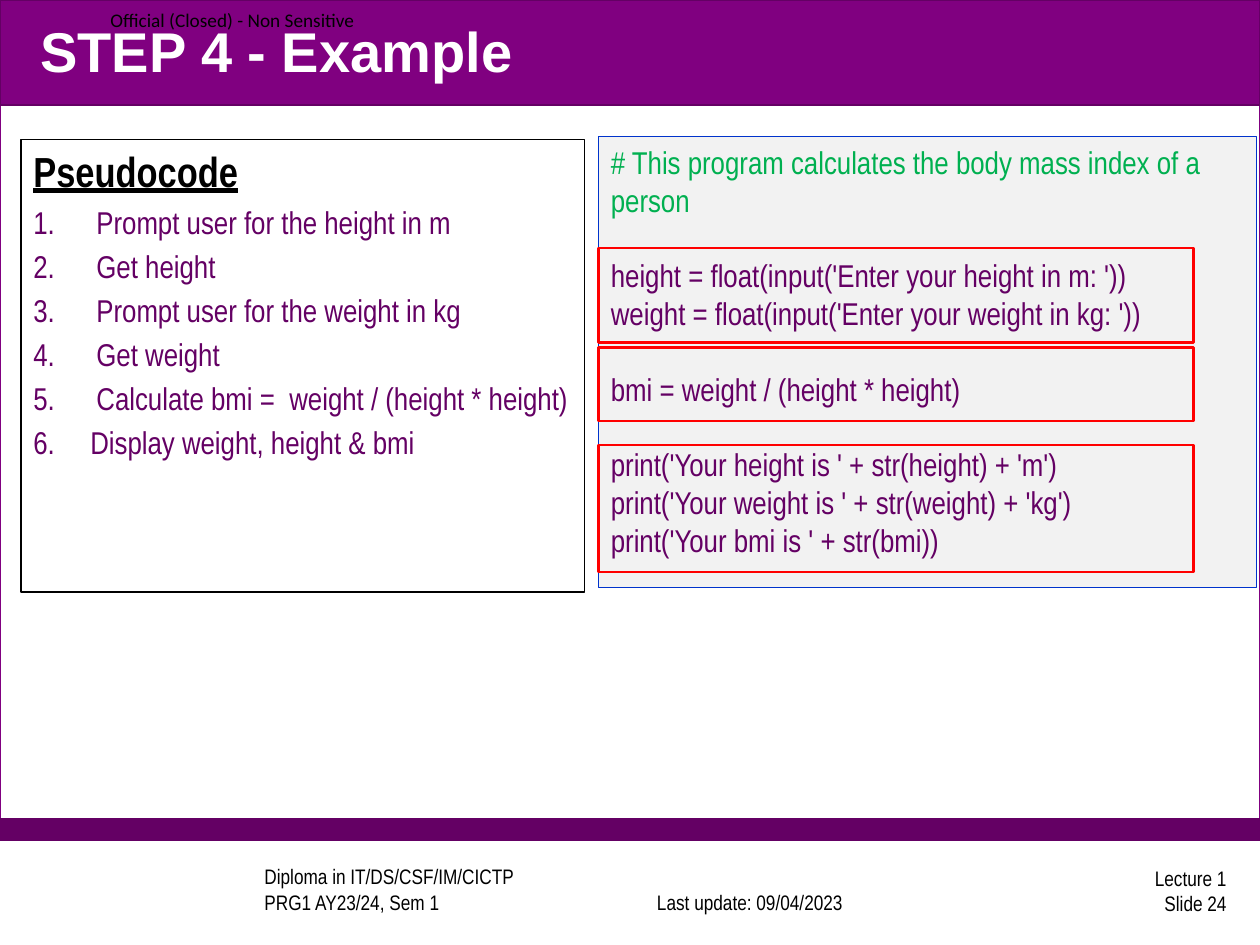
from pptx import Presentation
from pptx.dml.color import RGBColor
from pptx.enum.shapes import MSO_SHAPE
from pptx.enum.text import MSO_ANCHOR, PP_ALIGN
from pptx.oxml.ns import qn
from pptx.util import Pt
from lxml.etree import SubElement

NARROW = "Arial Narrow"
BLACK, WHITE, RED, GREEN = "000000", "FFFFFF", "FF0000", "00B050"
PURPLE, DARK_PURPLE = "800080", "640064"
CODE_LINE = 21.6

STEPS = [
    "Prompt user for the height in m",
    "Get height",
    "Prompt user for the weight in kg",
    "Get weight",
    "Calculate bmi =  weight / (height * height)",
]
CODE_BLOCKS = [
    [
        "height = float(input('Enter your height in m: '))",
        "weight = float(input('Enter your weight in kg: '))",
    ],
    ["bmi = weight / (height * height)"],
    [
        "print('Your height is ' + str(height) + 'm')",
        "print('Your weight is ' + str(weight) + 'kg')",
        "print('Your bmi is ' + str(bmi))",
    ],
]
HIGHLIGHTS = [(141.8, 54), (198.7, 41.8), (254.2, 72.7)]


def color(hex_code):
    return RGBColor.from_string(hex_code)


def add_box(slide, left, top, width, height, fill, line, weight=0.75):
    box = slide.shapes.add_shape(
        MSO_SHAPE.RECTANGLE, Pt(left), Pt(top), Pt(width), Pt(height))
    box.shadow.inherit = False
    if fill:
        box.fill.solid()
        box.fill.fore_color.rgb = color(fill)
    else:
        box.fill.background()
    box.line.color.rgb = color(line)
    box.line.width = Pt(weight)
    box.text_frame.word_wrap = True
    box.text_frame.vertical_anchor = MSO_ANCHOR.TOP
    return box


def add_run(paragraph, text, size, hex_code, font=NARROW, bold=False, underline=False):
    run = paragraph.add_run()
    run.text = text
    run.font.size = Pt(size)
    run.font.name = font
    run.font.bold = bold
    run.font.underline = underline
    run.font.color.rgb = color(hex_code)


def next_paragraph(frame, space_before=0):
    first = frame.paragraphs[0]
    paragraph = frame.add_paragraph() if first.runs else first
    paragraph.alignment = PP_ALIGN.LEFT
    paragraph.space_before = Pt(space_before)
    return paragraph


def set_indent(paragraph, margin, hanging=0):
    properties = paragraph._p.get_or_add_pPr()
    properties.set("marL", str(Pt(margin)))
    properties.set("indent", str(-Pt(hanging)))
    return properties


def add_label(slide, left, top, width, height, lines, size=12, hex_code=BLACK,
              font=NARROW, bold=False, align=PP_ALIGN.LEFT,
              anchor=MSO_ANCHOR.MIDDLE, indent=0):
    label = slide.shapes.add_textbox(Pt(left), Pt(top), Pt(width), Pt(height))
    frame = label.text_frame
    frame.word_wrap = True
    frame.vertical_anchor = anchor
    paragraph = next_paragraph(frame)
    paragraph.alignment = align
    set_indent(paragraph, indent)
    for index, line in enumerate(lines):
        if index:
            paragraph.add_line_break()
        add_run(paragraph, line, size, hex_code, font, bold)
    return frame


def add_frame(slide):
    add_box(slide, 0, 0, 720, 480, WHITE, PURPLE)
    add_box(slide, 0, 468, 720, 12, DARK_PURPLE, DARK_PURPLE)
    add_box(slide, 0, 0, 720, 60, PURPLE, DARK_PURPLE)
    add_label(slide, 108, 496, 228, 30,
              ["Diploma in IT/DS/CSF/IM/CICTP", "PRG1 AY23/24, Sem 1"],
              anchor=MSO_ANCHOR.BOTTOM, indent=36)
    add_label(slide, 353.5, 496, 150, 30, ["Last update: 09/04/2023"],
              align=PP_ALIGN.CENTER, anchor=MSO_ANCHOR.BOTTOM)
    add_label(slide, 558, 494, 150, 30, ["Lecture 1", "Slide 24"],
              align=PP_ALIGN.RIGHT)
    marking = add_label(slide, 0, 0, 217, 22.3,
                        ["Official (Closed) - Non Sensitive"],
                        size=11, font="Calibri", indent=63)
    marking.margin_left = marking.margin_right = 0
    marking.margin_top = marking.margin_bottom = 0


def add_code(slide):
    frame = add_box(slide, 342, 78, 376, 257.8, "F2F2F2", "0033CC").text_frame
    add_run(next_paragraph(frame),
            "# This program calculates the body mass index of a person", 18, GREEN)
    for block in CODE_BLOCKS:
        for index, statement in enumerate(block):
            paragraph = next_paragraph(frame, 0 if index else CODE_LINE)
            add_run(paragraph, statement, 18, DARK_PURPLE)
    for top, height in HIGHLIGHTS:
        add_box(slide, 342, top, 340, height, None, RED, 1.5)


def add_pseudocode(slide):
    frame = add_box(slide, 12, 79.8, 322, 258.5, WHITE, BLACK).text_frame
    add_run(next_paragraph(frame), "Pseudocode", 24, BLACK, bold=True, underline=True)
    for step in STEPS:
        paragraph = next_paragraph(frame, 3.6)
        properties = set_indent(paragraph, 36, 36)
        SubElement(properties, qn("a:buFont"), typeface="+mj-lt")
        SubElement(properties, qn("a:buAutoNum"), type="arabicPeriod")
        add_run(paragraph, step, 18, DARK_PURPLE)
    last_step = next_paragraph(frame, 3.6)
    set_indent(last_step, 32.5, 32.5)
    add_run(last_step, "6.\tDisplay weight, height & bmi", 18, DARK_PURPLE)


def main():
    deck = Presentation()
    deck.slide_width, deck.slide_height = Pt(720), Pt(540)
    slide = deck.slides.add_slide(deck.slide_layouts[6])
    add_frame(slide)
    add_label(slide, 16, 6.5, 704, 44.6, ["STEP 4 - Example"],
              size=32, hex_code=WHITE, font="Arial", bold=True)
    add_code(slide)
    add_pseudocode(slide)
    deck.save("out.pptx")


if __name__ == "__main__":
    main()
